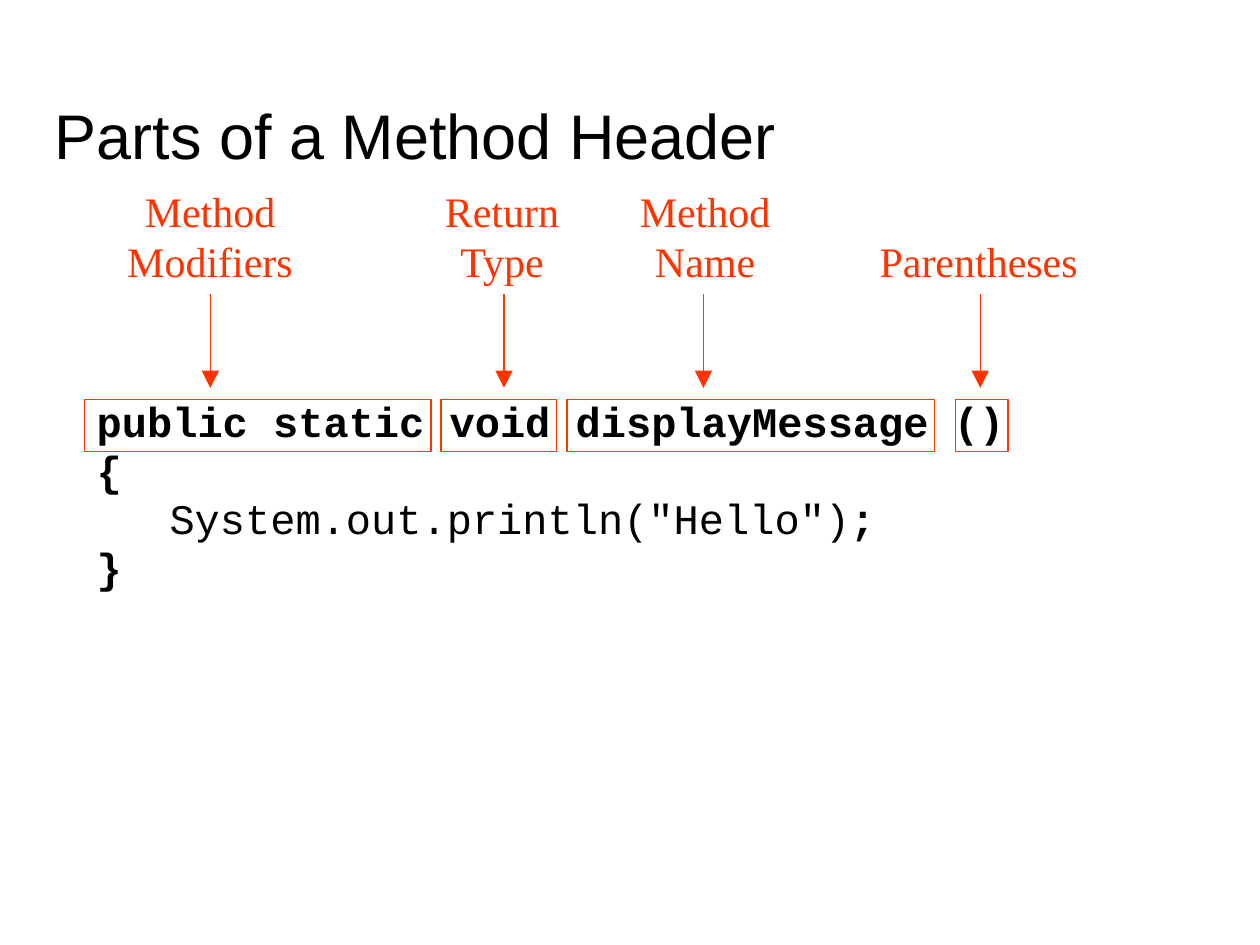
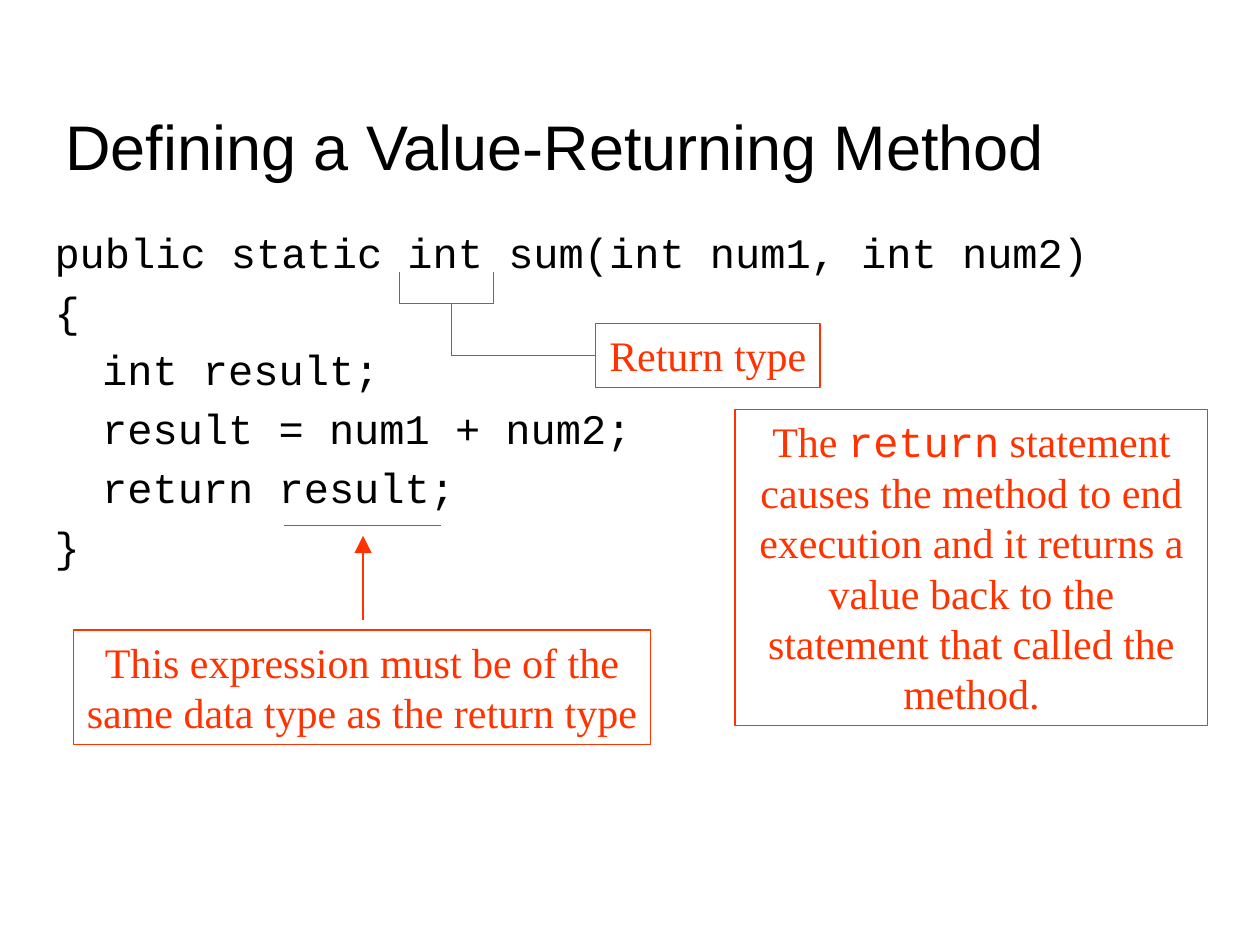
from dataclasses import dataclass

from lxml.etree import SubElement
from pptx import Presentation
from pptx.dml.color import RGBColor
from pptx.enum.shapes import MSO_CONNECTOR as Connector, MSO_SHAPE as Preset
from pptx.enum.text import MSO_ANCHOR as Anchor, MSO_AUTO_SIZE as AutoSize, PP_ALIGN as Align
from pptx.oxml.ns import qn
from pptx.util import Cm, Pt


@dataclass(frozen=True)
class Theme:
    ink: RGBColor = RGBColor(0x00, 0x00, 0x00)
    accent: RGBColor = RGBColor(0xFF, 0x33, 0x00)
    paper: RGBColor = RGBColor(0xFF, 0xFF, 0xFF)
    title_font: str = "Arial"
    code_font: str = "Courier New"
    note_font: str = "Times New Roman"
    title_size: Pt = Pt(36)
    text_size: Pt = Pt(24)
    line_height: float = 28.8
    code_gap: Pt = Pt(4.8)
    stroke: Pt = Pt(0.75)


THEME = Theme()
CODE_INDENT = Cm(0.96)
LABEL_BOTTOM = 5.9
ARROW_TOP, ARROW_TIP = 5.92, 7.82
HEADER_TOP, HEADER_HEIGHT = 8.05, 1.06

METHOD_PARTS = [
    ("Method Modifiers", 2.01, 4.45, 4.24, 1.7, 6.99),
    ("Return Type", 8.53, 3.18, 10.16, 8.89, 2.33),
    ("Method Name", 12.52, 3.39, 14.18, 11.43, 7.41),
    ("Parentheses", 17.48, 4.5, 19.76, 19.26, 1.06),
]

DISPLAY_METHOD = [
    [("public static void displayMessage ()", True)],
    [("{", True)],
    [('\t System.out.println("Hello")', False), (";", True)],
    [("}", True)],
]

SUM_METHOD = [
    [(line, False)]
    for line in (
        "public static int sum(int num1, int num2)",
        "{",
        "\tint result;",
        "\tresult = num1 + num2;",
        "\treturn result;",
        "}",
    )
]


def style_run(run, font, size, color, bold=False):
    run.font.name = font
    run.font.size = size
    run.font.color.rgb = color
    run.font.bold = bold


def add_titled_slide(prs, title, left, top, width, height):
    slide = prs.slides.add_slide(prs.slide_layouts[5])
    slide.background.fill.solid()
    slide.background.fill.fore_color.rgb = THEME.paper
    heading = slide.shapes.title
    heading.left, heading.top = Cm(left), Cm(top)
    heading.width, heading.height = Cm(width), Cm(height)
    frame = heading.text_frame
    frame.text = title
    frame.auto_size = AutoSize.NONE
    frame.vertical_anchor = Anchor.BOTTOM
    frame.paragraphs[0].alignment = Align.LEFT
    style_run(frame.paragraphs[0].runs[0], THEME.title_font, THEME.title_size, THEME.ink)
    return slide


def add_code(slide, lines, left, top, width, height, spacing=1.0):
    listing = slide.shapes.add_textbox(Cm(left), Cm(top), Cm(width), Cm(height))
    frame = listing.text_frame
    frame.word_wrap = True
    frame.margin_right = 0
    for number, segments in enumerate(lines):
        paragraph = frame.add_paragraph() if number else frame.paragraphs[0]
        properties = paragraph._p.get_or_add_pPr()
        properties.set("marL", str(CODE_INDENT))
        properties.set("indent", str(-CODE_INDENT))
        paragraph.line_spacing = Pt(THEME.line_height * spacing)
        paragraph.space_before = THEME.code_gap if number else Pt(0)
        for text, bold in segments:
            run = paragraph.add_run()
            run.text = text
            style_run(run, THEME.code_font, THEME.text_size, THEME.ink, bold)


def write_note(frame, segments, wrap=True):
    frame.word_wrap = wrap
    frame.auto_size = AutoSize.SHAPE_TO_FIT_TEXT
    frame.vertical_anchor = Anchor.TOP
    paragraph = frame.paragraphs[0]
    paragraph.alignment = Align.CENTER
    paragraph.line_spacing = Pt(THEME.line_height)
    for text, font in segments:
        run = paragraph.add_run()
        run.text = text
        style_run(run, font, THEME.text_size, THEME.accent)


def add_label(slide, text, left, width):
    height = 0.25 + 1.02 * len(text.split())
    label = slide.shapes.add_textbox(Cm(left), Cm(LABEL_BOTTOM - height), Cm(width), Cm(height))
    write_note(label.text_frame, [(text, THEME.note_font)], wrap=" " in text)


def add_frame(slide, left, top, width, height):
    outline = slide.shapes.add_shape(Preset.RECTANGLE, Cm(left), Cm(top), Cm(width), Cm(height))
    outline.shadow.inherit = False
    outline.fill.background()
    outline.line.color.rgb = THEME.accent
    outline.line.width = THEME.stroke
    return outline


def add_callout(slide, segments, left, top, width, height, wrap=True):
    callout = add_frame(slide, left, top, width, height)
    write_note(callout.text_frame, segments, wrap)
    return callout


def add_line(slide, start, end, arrow=False):
    line = slide.shapes.add_connector(Connector.STRAIGHT, *map(Cm, start + end))
    line.line.color.rgb = THEME.accent
    line.line.width = THEME.stroke
    if arrow:
        SubElement(
            line.line._get_or_add_ln(), qn("a:tailEnd"), type="triangle", w="lg", len="lg"
        )
    SubElement(line._element.spPr, qn("a:effectLst"))
    return line


def build_header_slide(prs):
    slide = add_titled_slide(prs, "Parts of a Method Header", 0.85, 0.85, 23.92, 2.75)
    add_code(slide, DISPLAY_METHOD, 1.7, HEADER_TOP, 21.59, 1.9, spacing=0.8)
    for label, label_left, label_width, arrow_x, part_left, part_width in METHOD_PARTS:
        add_frame(slide, part_left, HEADER_TOP, part_width, HEADER_HEIGHT)
        add_label(slide, label, label_left, label_width)
        add_line(slide, (arrow_x, ARROW_TOP), (arrow_x, ARROW_TIP), arrow=True)


def build_return_slide(prs):
    slide = add_titled_slide(prs, "Defining a Value-Returning Method", 1.06, 0.64, 21.59, 3.17)
    add_code(slide, SUM_METHOD, 0.85, 4.44, 23.04, 12.7)

    add_line(slide, (5.72, 10.59), (8.89, 10.59))
    add_callout(
        slide,
        [("This expression must be of the same data type as the return type", THEME.note_font)],
        1.48, 12.7, 11.64, 2.31,
    )
    add_line(slide, (7.32, 12.5), (7.32, 10.8), arrow=True)

    add_callout(
        slide,
        [
            ("The ", THEME.note_font),
            ("return", THEME.code_font),
            (" statement causes the method to end execution and it returns a value "
             "back to the statement that called the method.", THEME.note_font),
        ],
        14.82, 8.26, 9.53, 6.37,
    )

    return_type = add_callout(
        slide, [("Return type", THEME.note_font)], 12.01, 6.52, 4.52, 1.3, wrap=False
    )
    bracket = [(8.05, 5.49), (8.05, 6.12), (9.95, 6.12), (9.95, 5.49)]
    for start, end in zip(bracket, bracket[1:]):
        add_line(slide, start, end)
    add_line(slide, (9.1, 6.12), (9.1, 7.17))
    add_line(slide, (9.1, 7.17), (12.01, 7.17)).end_connect(return_type, 1)


def main():
    prs = Presentation()
    prs.slide_width, prs.slide_height = Cm(25.4), Cm(19.05)
    build_header_slide(prs)
    build_return_slide(prs)
    prs.save("out.pptx")


if __name__ == "__main__":
    main()
